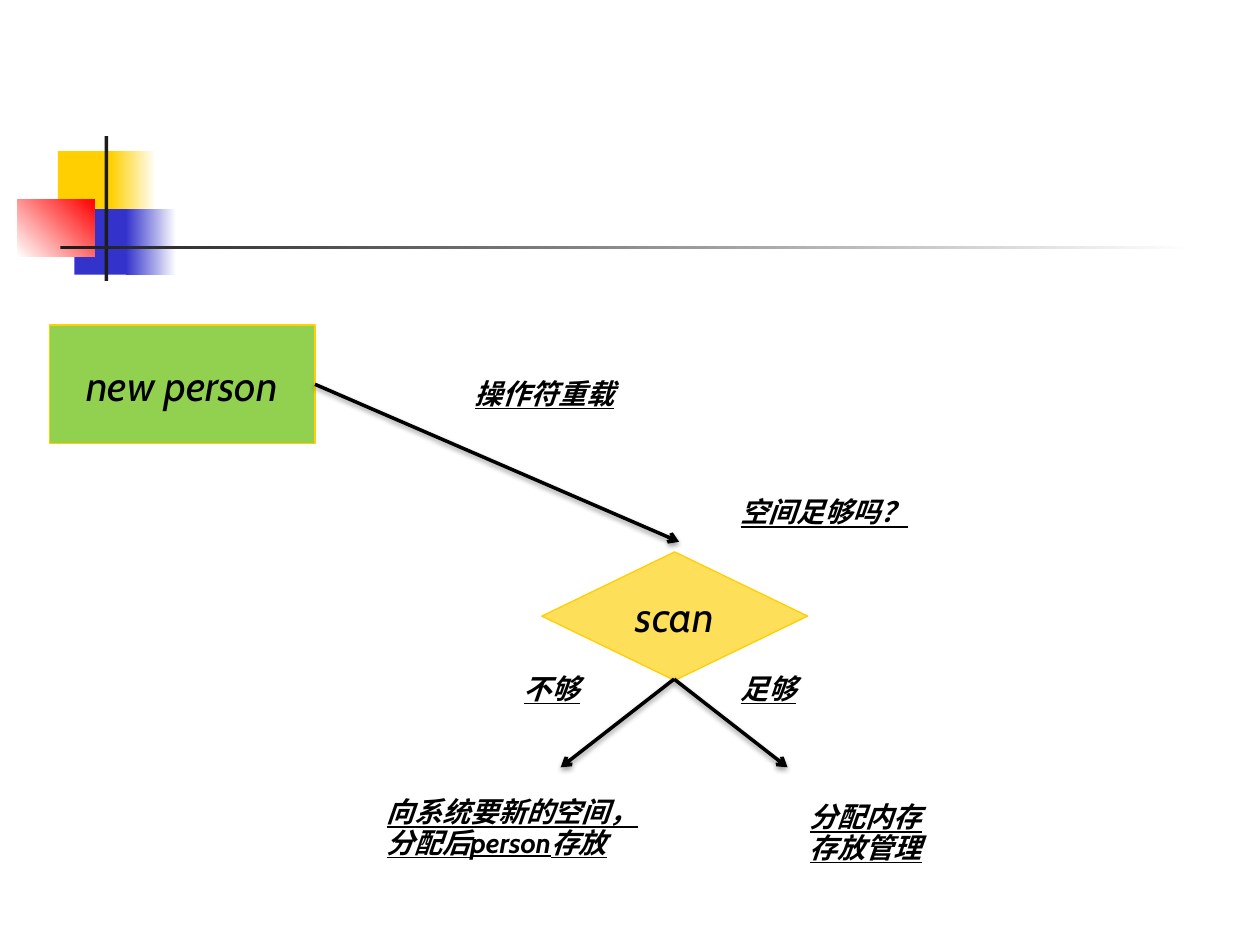
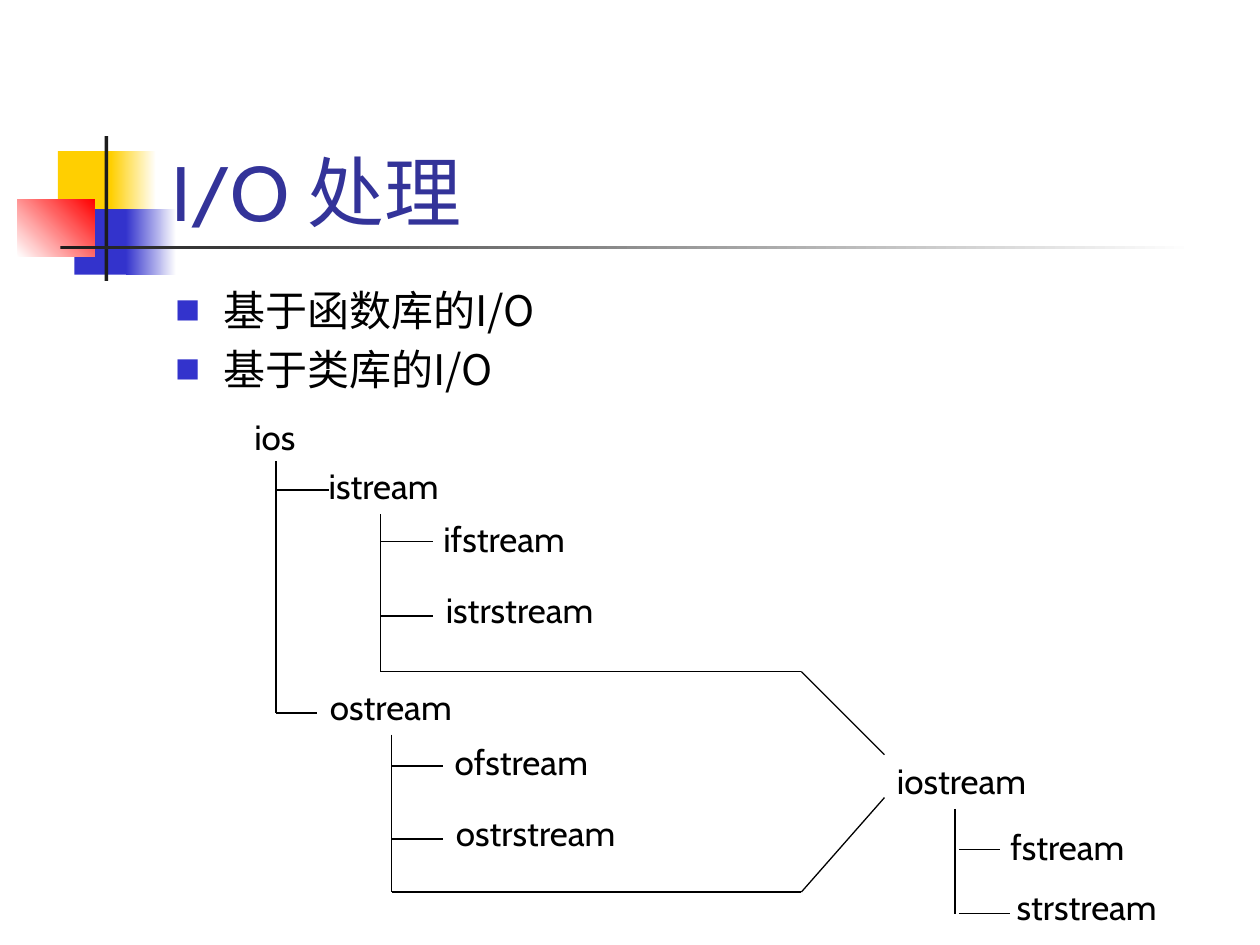
from lxml import etree
from pptx import Presentation
from pptx import util as u
from pptx.dml.color import RGBColor
from pptx.enum import shapes as sh, text as tx
from pptx.oxml.ns import qn

# ---- Theme ----
HUES = dict(ink="000000", gold="FFCF01", blue="3333CC", red="FF0000", white="FFFFFF",
            dark="1C1C1C", title="333399", green="92D050", sand="FEDF59")
LATIN, HAN = "Cabin", "Noto Sans CJK SC"
STYLES = {
    "title": dict(size=44, hue="title", name=LATIN),
    "list": dict(size=24, hue="ink", name=HAN),
    "step": dict(size=24, hue="ink", name=LATIN, italic=True),
    "note": dict(size=16, hue="ink", name=LATIN, bold=True, italic=True, underline=True),
    "node": dict(size=20, hue="ink", name=LATIN),
}
THIN, THICK = 0.75, 2

# ---- Shared band: box, from hue, to hue, angle ----
BAND = [
    ((0.46, 1.2, 0.48, 0.52), "gold", None, 0),
    ((0.88, 1.2, 0.36, 0.52), "gold", "white", 0),
    ((0.59, 1.66, 0.46, 0.52), "blue", None, 0),
    ((1, 1.66, 0.4, 0.52), "blue", "white", 0),
    ((0.14, 1.58, 0.61, 0.46), "white", "red", 45),
    ((0.83, 1.08, 0.03, 1.15), "dark", None, 0),
    ((0.48, 1.95, 9, 0.03), "dark", "white", 0),
]

# ---- Slide 1: allocation flow ----
KIND = sh.MSO_SHAPE
STEPS = [
    ("new person", KIND.RECTANGLE, (0.39, 2.58, 2.11, 0.94), "green"),
    ("scan", KIND.FLOWCHART_DECISION, (4.3, 4.38, 2.11, 1.02), "sand"),
]
FORK = (5.35, 5.39)
ARROWS = [((2.5, 3.05), (5.39, 4.3)), (FORK, (4.45, 6.09)), (FORK, (6.25, 6.09))]
NOTES = [
    (["操作符重载"], (3.67, 2.97, 1.32, 0.34)),
    (["空间足够吗？"], (5.78, 3.91, 1.56, 0.34)),
    (["不够"], (4.06, 5.31, 0.65, 0.34)),
    (["足够"], (5.78, 5.31, 0.65, 0.34)),
    (["向系统要新的空间，", "分配后person存放"], (2.97, 6.29, 2.24, 0.59)),
    (["分配内存", "存放管理"], (6.33, 6.33, 1.11, 0.59)),
]

# ---- Slide 2: class tree ----
TITLE = "I/O 处理"
POINTS = ["基于函数库的I/O", "基于类库的I/O"]
NODE_H = 0.43
NODES = [  # name, left, top, width
    ("ios", 1.92, 3.25, 0.54),
    ("istream", 2.51, 3.64, 1.11),
    ("ifstream", 3.42, 4.06, 1.2),
    ("istrstream", 3.44, 4.62, 1.43),
    ("ostream", 2.52, 5.39, 1.19),
    ("ofstream", 3.51, 5.83, 1.28),
    ("ostrstream", 3.52, 6.39, 1.51),
    ("iostream", 7.02, 5.98, 1.26),
    ("fstream", 7.92, 6.5, 1.13),
    ("strstream", 7.97, 6.98, 1.36),
]
STEMS = [  # x, top, end, gap before twigs, twigs as (y, right end)
    (2.19, 3.66, 5.66, 0, [(3.89, 2.61), (5.66, 2.52)]),
    (3.02, 4.08, 5.33, 0, [(4.3, 3.44), (4.89, 3.44)]),
    (3.11, 5.83, 7.08, 0, [(6.08, 3.52), (6.66, 3.52)]),
    (7.58, 6.42, 7.25, 0.03, [(6.74, 7.94), (7.25, 8.02)]),
]
BEND, MEET = 6.36, 7.02
JOINS = [(3.02, 5.33, 5.99), (3.11, 7.08, 6.33)]  # start x, stem end, meeting y


# ---- Helpers ----
def rgb(hue):
    return RGBColor.from_string(HUES[hue])


def inch(vals):
    return [u.Inches(v) for v in vals]


def sub(node, tag, **vals):
    return etree.SubElement(node, qn("a:" + tag), {k: str(v) for k, v in vals.items()})


def write(frame, lines, style, **para):
    for i, line in enumerate(lines):
        p = frame.paragraphs[0] if i == 0 else frame.add_paragraph()
        for key, val in para.items():
            setattr(p, key, val)
        run = p.add_run()
        run.text = line
        for key, val in STYLES[style].items():
            if key == "hue":
                run.font.color.rgb = rgb(val)
            else:
                setattr(run.font, key, u.Pt(val) if key == "size" else val)
        sub(run._r.get_or_add_rPr(), "ea", typeface=HAN)


def block(slide, kind, box, hue, to=None, angle=0, edge=None):
    s = slide.shapes.add_shape(kind, *inch(box))
    s.shadow.inherit = False
    if to:
        s.fill.gradient()
        s.fill.gradient_angle = angle
        for stop, tone in zip(s.fill.gradient_stops, (hue, to)):
            stop.color.rgb = rgb(tone)
    else:
        s.fill.solid()
        s.fill.fore_color.rgb = rgb(hue)
    if edge:
        s.line.color.rgb = rgb(edge)
        s.line.width = u.Pt(THIN)
    else:
        s.line.fill.background()
    return s


def label(slide, lines, box, style, **para):
    frame = slide.shapes.add_textbox(*inch(box)).text_frame
    frame.word_wrap = False
    frame.auto_size = tx.MSO_AUTO_SIZE.SHAPE_TO_FIT_TEXT
    write(frame, lines, style, **para)


def line(slide, start, end, arrow=False):
    c = slide.shapes.add_connector(sh.MSO_CONNECTOR.STRAIGHT, *inch(start + end))
    c.line.color.rgb = rgb("ink")
    c.line.width = u.Pt(THICK if arrow else THIN)
    if arrow:
        sub(c.line._get_or_add_ln(), "tailEnd", type="arrow")
    fx = sub(c.element.spPr, "effectLst")
    if arrow:
        glow = sub(fx, "outerShdw", blurRad=u.Pt(3.1), dist=u.Pt(1.6),
                   dir=90 * 60000, rotWithShape=0)
        sub(sub(glow, "srgbClr", val=HUES["ink"]), "alpha", val=38000)


def bullet(p):
    props = p._p.get_or_add_pPr()
    pad = u.Inches(0.38)
    props.set("marL", str(pad))
    props.set("indent", str(-pad))
    sub(sub(props, "spcBef"), "spcPct", val=20000)
    sub(sub(props, "buClr"), "srgbClr", val=HUES["blue"])
    sub(props, "buSzPct", val=60000)
    sub(props, "buFont", typeface=HAN)
    sub(props, "buChar", char="■")


def place(holder, box):
    for key, val in zip(("left", "top", "width", "height"), inch(box)):
        setattr(holder, key, val)
    return holder.text_frame


# ---- Slides ----
def band(slide):
    tree = slide.slide_layout.shapes.element
    for i, (box, hue, to, angle) in enumerate(BAND):
        tree.insert(2 + i, block(slide, KIND.RECTANGLE, box, hue, to, angle).element)


def flow(slide):
    for holder in list(slide.placeholders):
        holder.element.getparent().remove(holder.element)
    for name, kind, box, hue in STEPS:
        frame = block(slide, kind, box, hue, edge="gold").text_frame
        frame.word_wrap = False
        frame.vertical_anchor = tx.MSO_ANCHOR.MIDDLE
        write(frame, [name], "step", alignment=tx.PP_ALIGN.CENTER)
    for start, end in ARROWS:
        line(slide, start, end, arrow=True)
    for lines, box in NOTES:
        label(slide, lines, box, "note", line_spacing=0.9)


def tree(slide):
    head = place(slide.shapes.title, (1.26, 0.68, 8.52, 1.25))
    head.vertical_anchor = tx.MSO_ANCHOR.BOTTOM
    write(head, [TITLE], "title", alignment=tx.PP_ALIGN.LEFT)
    body = place(slide.placeholders[1], (1.29, 2.21, 8.5, 4.5))
    write(body, POINTS, "list")
    for p in body.paragraphs:
        bullet(p)
    for name, x, y, wide in NODES:
        label(slide, [name], (x, y, wide, NODE_H), "node")
    for x, top, end, gap, twigs in STEMS:
        line(slide, (x, top), (x, end))
        for y, right in twigs:
            line(slide, (x + gap, y), (right, y))
    for x, y, meet in JOINS:
        line(slide, (x, y), (BEND, y))
        line(slide, (BEND, y), (MEET, meet))


def main():
    deck = Presentation()
    deck.slide_width, deck.slide_height = inch((10, 7.5))
    first, second = [deck.slides.add_slide(deck.slide_layouts[1]) for _ in range(2)]
    band(first)
    flow(first)
    tree(second)
    deck.save("out.pptx")


if __name__ == "__main__":
    main()
